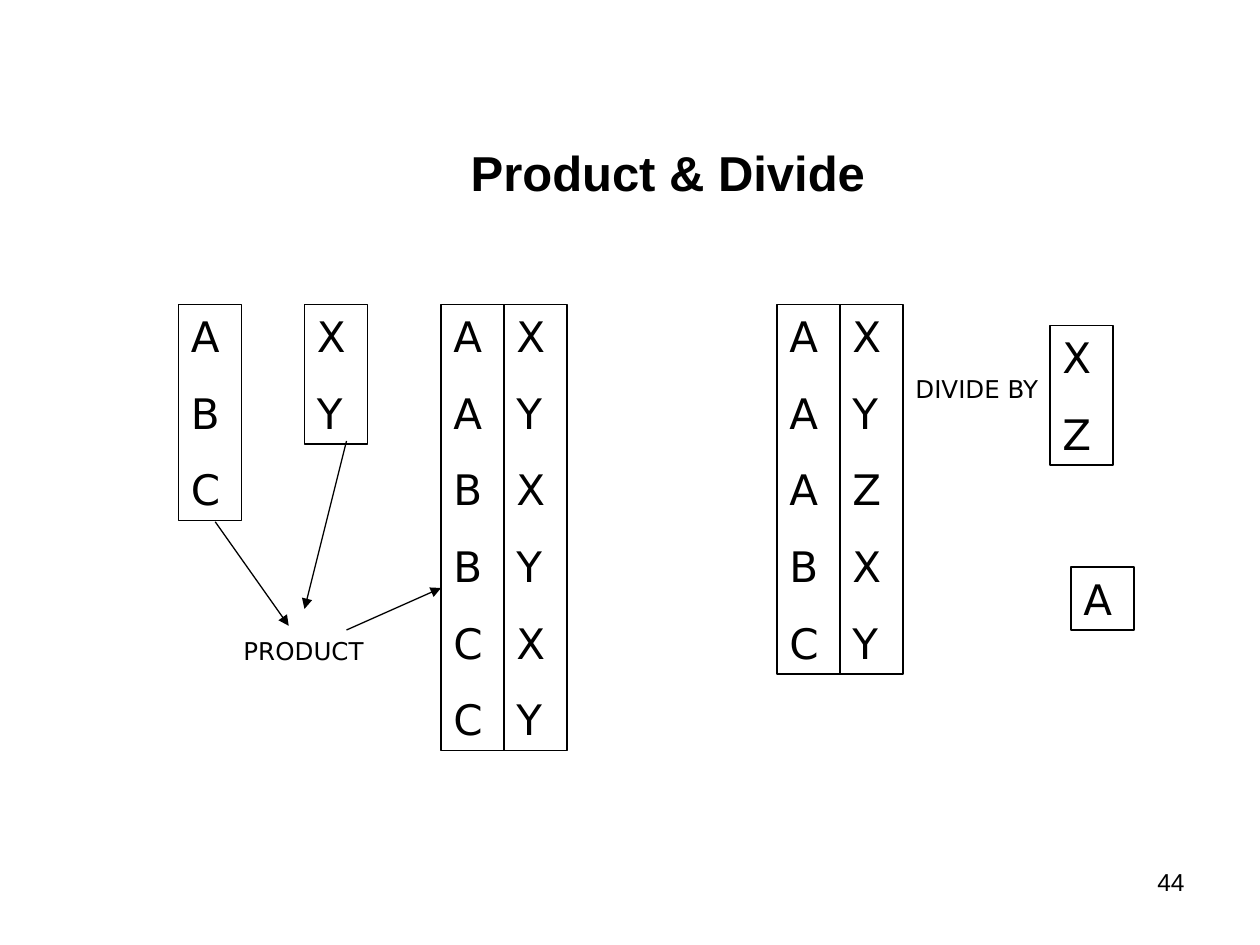
from lxml import etree
from pptx import Presentation
from pptx.dml.color import RGBColor
from pptx.enum.shapes import MSO_CONNECTOR, MSO_SHAPE
from pptx.enum.text import MSO_ANCHOR, PP_ALIGN
from pptx.oxml.ns import qn
from pptx.util import Inches, Pt

RECT, STRAIGHT = MSO_SHAPE.RECTANGLE, MSO_CONNECTOR.STRAIGHT
TOP, MIDDLE = MSO_ANCHOR.TOP, MSO_ANCHOR.MIDDLE
LEFT, CENTER, RIGHT = PP_ALIGN.LEFT, PP_ALIGN.CENTER, PP_ALIGN.RIGHT
SANS, ARIAL = "DejaVu Sans", "Arial"
BLACK = "000000"

prs = Presentation()
prs.slide_width, prs.slide_height = Inches(10), Inches(7.5)
s = prs.slides.add_slide(prs.slide_layouts[5])  # Title Only


def grid(*units):
    """Lengths on a grid of 120 columns by 90 rows."""
    return [int(prs.slide_width * u / 120) for u in units]


def write(sp, text, size, font=SANS, align=LEFT, anchor=TOP, bold=False, gap=0):
    tf = sp.text_frame
    tf.text = text
    tf.word_wrap = True
    tf.vertical_anchor = anchor
    for i, p in enumerate(tf.paragraphs):
        p.alignment = align
        p.space_before = Pt(gap if i else 0)
        for r in p.runs:
            r.font.size, r.font.name, r.font.bold = Pt(size), font, bold
            r.font.color.rgb = RGBColor.from_string(BLACK)


# Title
title = s.shapes.title
title.left, title.top, title.width, title.height = grid(10, 11, 107.2, 10.8)
write(title, "Product & Divide", 28, ARIAL, CENTER, MIDDLE, bold=True)

# Relation columns: left, top, values; height follows the number of rows
columns = [
    (17, 29, "ABC"), (29, 29, "XY"),        # product operands
    (42, 29, "AABBCC"), (48, 29, "XYXYXY"),  # product result
    (74, 29, "AAABC"), (80, 29, "XYZXY"),   # dividend
    (100, 31, "XZ"), (102, 54, "A"),        # divisor and quotient
]
for x, y, values in columns:
    sp = s.shapes.add_shape(RECT, *grid(x, y, 6, 6 + 7.3 * (len(values) - 1)))
    sp.shadow.inherit = False
    sp.fill.background()
    sp.line.color.rgb = RGBColor.from_string(BLACK)
    sp.line.width = Pt(0.75)
    write(sp, "\n".join(values), 24, gap=15)

# Arrows from operands to the operator and on to the result
for ends in [(20.5, 49.7, 27.5, 59.6), (33, 42, 29, 58), (33, 60, 42, 56)]:
    line = s.shapes.add_connector(STRAIGHT, *grid(*ends))
    line.line.color.rgb = RGBColor.from_string(BLACK)
    line.line.width = Pt(0.75)
    etree.SubElement(line.line._get_or_add_ln(), qn("a:tailEnd"), type="triangle")
    etree.SubElement(line._element.spPr, qn("a:effectLst"))

# Operator labels and page number
labels = [
    (22, 60, 15, 4.1, "PRODUCT", SANS, LEFT),
    (86, 35, 15, 4.1, "DIVIDE BY", SANS, LEFT),
    (86, 82, 28, 6.2, "44", ARIAL, RIGHT),
]
for x, y, w, h, text, font, align in labels:
    write(s.shapes.add_textbox(*grid(x, y, w, h)), text, 14, font, align)

prs.save("out.pptx")
